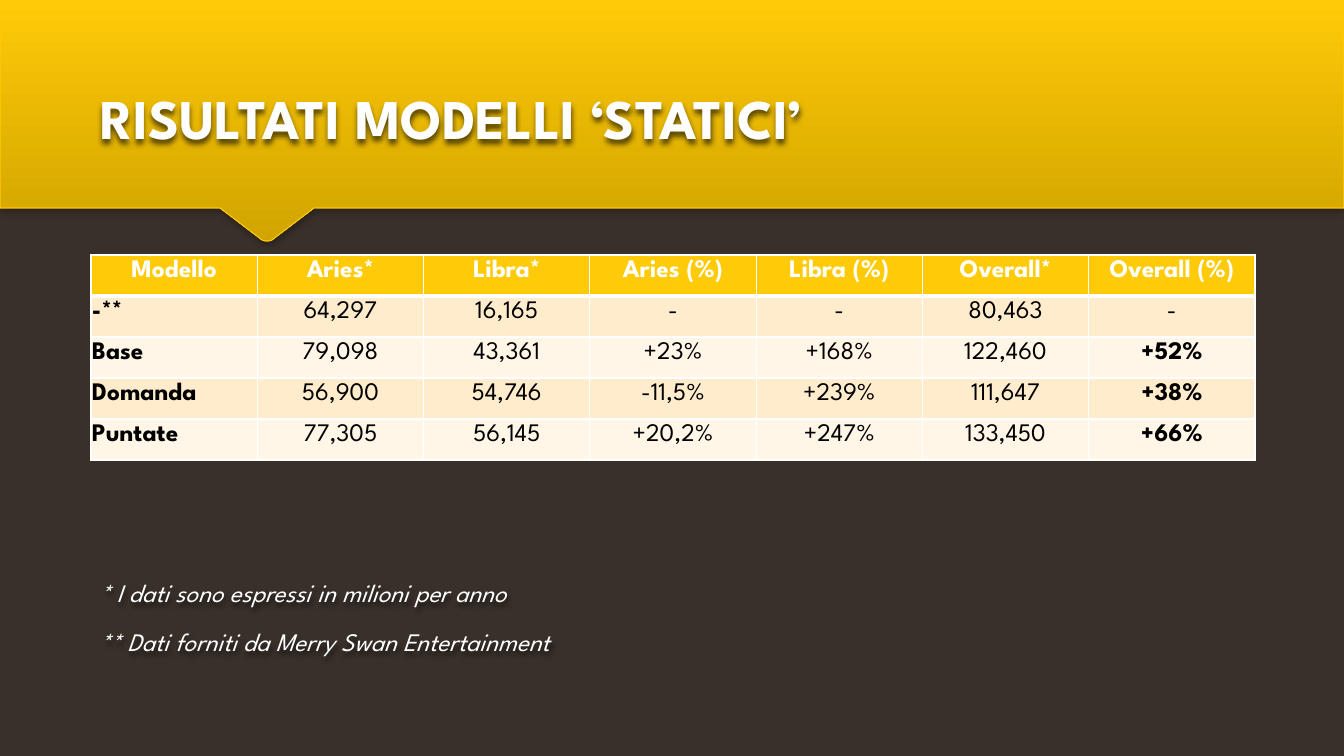
from dataclasses import dataclass

from lxml import etree
from pptx import Presentation
from pptx.dml.color import RGBColor
from pptx.enum.text import MSO_ANCHOR, MSO_AUTO_SIZE, PP_ALIGN
from pptx.oxml import parse_xml
from pptx.oxml.ns import nsdecls, qn
from pptx.util import Emu, Pt

LEFT, CENTER = PP_ALIGN.LEFT, PP_ALIGN.CENTER
TOP, MIDDLE, BOTTOM = MSO_ANCHOR.TOP, MSO_ANCHOR.MIDDLE, MSO_ANCHOR.BOTTOM
NO_AUTOFIT = MSO_AUTO_SIZE.NONE
TITLE_ONLY = 5
WIDTH, HEIGHT = 1344, 756
SCALE = 12192000 / WIDTH

BANNER = [(0, 0), (1344, 0), (1344, 208), (314, 208), (272, 240), (269, 241),
          (265, 241), (262, 240), (220, 208), (0, 208)]
RESULTS = [
    ["Modello", "Aries*", "Libra*", "Aries (%)", "Libra (%)", "Overall*", "Overall (%)"],
    ["-**", "64,297", "16,165", "-", "-", "80,463", "-"],
    ["Base", "79,098", "43,361", "+23%", "+168%", "122,460", "+52%"],
    ["Domanda", "56,900", "54,746", "-11,5%", "+239%", "111,647", "+38%"],
    ["Puntate", "77,305", "56,145", "+20,2%", "+247%", "133,450", "+66%"],
]
NOTES = ["* I dati sono espressi in milioni per anno",
         "** Dati forniti da Merry Swan Entertainment"]


@dataclass(frozen=True)
class Theme:
    font: str = "League Spartan"
    title_size: int = 40
    body_size: int = 18
    background: str = "39302A"
    accent: str = "FFCA08"
    accent_dark: str = "D1A400"
    title: str = "FEFEFE"
    light: str = "FFFFFF"
    dark: str = "000000"
    bands: tuple = ("FFF6E7", "FFECCC")


def px(n):
    return Emu(round(n * SCALE))


def rgb(color):
    return RGBColor.from_string(color)


def write(p, text, *, font, size, color, bold=False, italic=False, align=LEFT):
    p.alignment = align
    r = p.add_run()
    r.text = text
    r.font.name, r.font.size = font, Pt(size)
    r.font.bold, r.font.italic = bold, italic
    r.font.color.rgb = rgb(color)


def add_shadow(sp, opacity):
    sp._element.spPr.append(parse_xml(
        f'<a:effectLst {nsdecls("a")}><a:outerShdw blurRad="{Pt(4)}" dist="{Pt(2)}" '
        f'dir="5400000" rotWithShape="0"><a:srgbClr val="000000">'
        f'<a:alpha val="{opacity * 1000}"/></a:srgbClr></a:outerShdw></a:effectLst>'))


def set_borders(cell, color, **widths):
    """Insert cell borders, given in points by side, ahead of the cell fill."""
    tcPr = cell._tc.get_or_add_tcPr()
    for i, (side, width) in enumerate(widths.items()):
        ln = etree.Element(qn(f"a:ln{side}"), w=str(Pt(width)))
        fill = etree.SubElement(ln, qn("a:solidFill"))
        etree.SubElement(fill, qn("a:srgbClr"), val=color)
        tcPr.insert(i, ln)


class Deck:
    def __init__(self, theme):
        self.theme = theme
        self.prs = Presentation()
        self.prs.slide_width, self.prs.slide_height = px(WIDTH), px(HEIGHT)
        self.s = self.prs.slides.add_slide(self.prs.slide_layouts[TITLE_ONLY])
        self.s.background.fill.solid()
        self.s.background.fill.fore_color.rgb = rgb(theme.background)

    def banner(self, points):
        builder = self.s.shapes.build_freeform(*points[0], scale=SCALE)
        builder.add_line_segments(points[1:], close=True)
        sp = builder.convert_to_shape()
        sp.fill.gradient()
        sp.fill.gradient_angle = 270
        colors = (self.theme.accent, self.theme.accent_dark)
        for position, (stop, color) in enumerate(zip(sp.fill.gradient_stops, colors)):
            stop.position = position
            stop.color.rgb = rgb(color)
        sp.line.color.rgb = rgb(self.theme.accent)
        sp.line.width = Pt(0.75)
        add_shadow(sp, 28)
        self.s.shapes._spTree.insert(2, sp._element)  # behind the title

    def title(self, text, x, y, w, h):
        sp = self.s.shapes.title
        sp.left, sp.top, sp.width, sp.height = map(px, (x, y, w, h))
        tf = sp.text_frame
        tf.auto_size, tf.vertical_anchor = NO_AUTOFIT, BOTTOM
        write(tf.paragraphs[0], text, font=self.theme.font, size=self.theme.title_size,
              color=self.theme.title, bold=True)
        add_shadow(sp, 60)

    def table(self, rows, x, y, w, h):
        t = self.theme
        table = self.s.shapes.add_table(
            len(rows), len(rows[0]), *map(px, (x, y, w, h))).table
        last = len(rows[0]) - 1
        for i, row in enumerate(rows):
            header = i == 0
            for j, text in enumerate(row):
                cell = table.cell(i, j)
                cell.margin_left = cell.margin_right = px(1)
                cell.margin_top = cell.margin_bottom = px(5)
                cell.vertical_anchor = TOP
                cell.fill.solid()
                cell.fill.fore_color.rgb = rgb(t.accent if header else t.bands[i % 2])
                set_borders(cell, t.light, L=1, R=1, T=3 if i == 1 else 1,
                            B=3 if header else 1)
                write(cell.text_frame.paragraphs[0], text, font=t.font, size=t.body_size,
                      color=t.light if header else t.dark,
                      bold=header or j == 0 or (j == last and text != "-"),
                      align=LEFT if j == 0 and not header else CENTER)

    def notes(self, lines, x, y, w, h):
        sp = self.s.shapes.add_textbox(*map(px, (x, y, w, h)))
        tf = sp.text_frame
        tf.word_wrap, tf.vertical_anchor = True, MIDDLE
        for i, line in enumerate(lines):
            p = tf.add_paragraph() if i else tf.paragraphs[0]
            p.space_before, p.space_after, p.line_spacing = Pt(3.6), Pt(6), 1.2
            write(p, line, font=self.theme.font, size=self.theme.body_size,
                  color=self.theme.light, italic=True)
        add_shadow(sp, 60)


def main():
    deck = Deck(Theme())
    deck.banner(BANNER)
    deck.title("RISULTATI MODELLI ‘STATICI’", 90, 49, 1165, 107)
    deck.table(RESULTS, 91, 255, 1164, 205)
    deck.notes(NOTES, 90, 517, 1165, 194)
    deck.prs.save("out.pptx")


if __name__ == "__main__":
    main()
